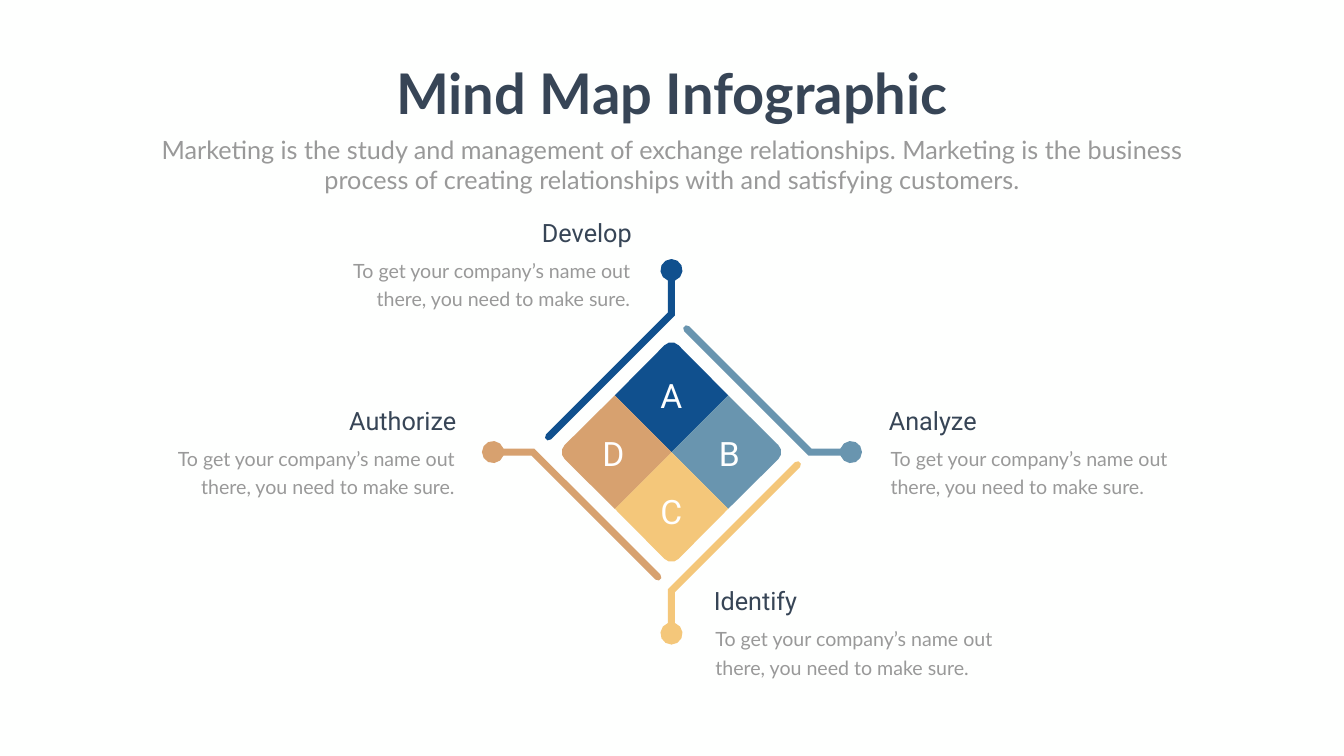
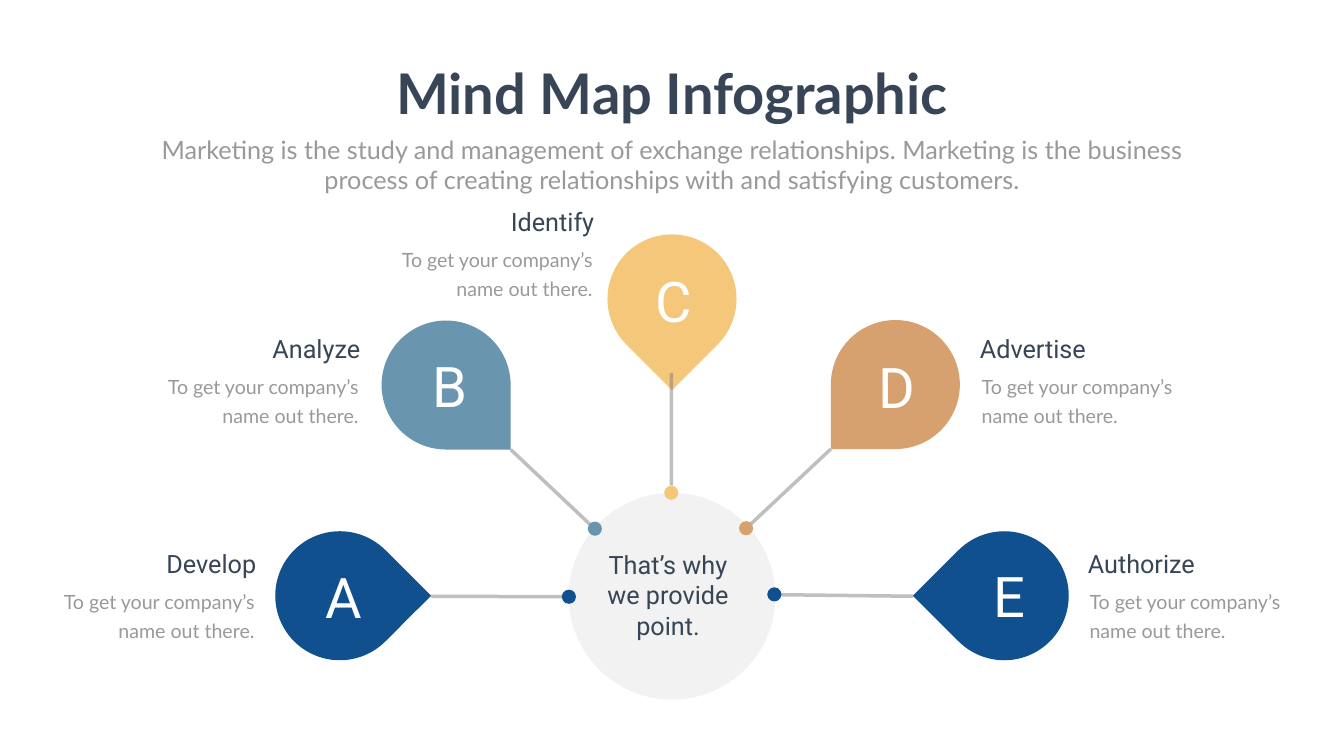
from dataclasses import dataclass
from math import asin, cos, degrees, radians, sin

from lxml.etree import SubElement
from pptx import Presentation
from pptx.dml.color import RGBColor
from pptx.enum.shapes import MSO_CONNECTOR, MSO_SHAPE
from pptx.enum.text import MSO_AUTO_SIZE, PP_ALIGN
from pptx.oxml.ns import qn
from pptx.slide import Slide
from pptx.util import Pt

Point = tuple[float, float]


@dataclass(frozen=True)
class Theme:
    background: str = "FEFFFE"
    dark: str = "374556"
    muted: str = "999999"
    gray: str = "808080"
    white: str = "FFFFFF"
    navy: str = "10508E"
    steel: str = "6995AF"
    gold: str = "F4C77A"
    copper: str = "D7A16F"
    heading_font: str = "Lato"
    label_font: str = "Roboto"
    title_size: int = 80
    quarter_size: int = 48
    label_size: int = 36
    body_size: int = 28


THEME = Theme()
SLIDE_WIDTH, SLIDE_HEIGHT = 1919.52, 1080
CENTER: Point = (959.04, 645.84)
HEADING_WIDTHS = {"Develop": 146, "Analyze": 143, "Identify": 137,
                  "Advertise": 169, "Authorize": 172}
STROKE_RADIUS, NODE_RADIUS = 5, 15.8
PETAL_SIZE, DOT_SIZE = 184.3, 20.2


@dataclass(frozen=True)
class TextStyle:
    font: str
    size: float
    color: str
    align: PP_ALIGN = PP_ALIGN.CENTER
    bold: bool = False
    line_spacing: float | None = None


@dataclass(frozen=True)
class Callout:
    """A heading over a body; edge is the side that the text is aligned to."""
    heading: str
    edge: float
    top: float
    align: PP_ALIGN


@dataclass(frozen=True)
class Branch:
    """One arm of the diamond, measured outward from its center."""
    letter: str
    color: str
    node: float
    bend: float
    run: float


@dataclass(frozen=True)
class Petal:
    letter: str
    color: str
    corner: Point
    rotation: float
    letter_corner: Point
    line_start: Point
    line_end: Point
    dot_corner: Point


BRANCHES = [
    Branch("A", THEME.navy, 260, 197.3, 175.7),
    Branch("B", THEME.steel, 256.3, 197.8, 176.2),
    Branch("C", THEME.gold, 259.2, 198, 180),
    Branch("D", THEME.copper, 254.9, 198, 178.6),
]
BRANCH_CALLOUTS = [
    Callout("Develop", 909.4, 306.4, PP_ALIGN.RIGHT),
    Callout("Authorize", 658.8, 575, PP_ALIGN.RIGHT),
    Callout("Analyze", 1262.4, 575, PP_ALIGN.LEFT),
    Callout("Identify", 1012.3, 833, PP_ALIGN.LEFT),
]
PETALS = [
    Petal("A", THEME.navy, (393.1, 758.9), 45, (416.2, 799.9),
          (615.6, 851.8), (805, 852.5), (802.4, 842.4)),
    Petal("B", THEME.steel, (545, 457.9), 90, (569.2, 499),
          (729.4, 642.2), (843.8, 750.2), (839.5, 745.2)),
    Petal("C", THEME.gold, (867.6, 334.8), 135, (887.8, 376.6),
          (959, 532.8), (959, 693.4), (948.6, 693.8)),
    Petal("D", THEME.copper, (1186.6, 457.2), 180, (1206.9, 500.4),
          (1186.6, 641.5), (1071.4, 749.5), (1055.5, 744.5)),
    Petal("E", THEME.navy, (1342.1, 758.9), 225, (1368, 798.5),
          (1303.9, 851.8), (1113.1, 849.6), (1095.8, 839)),
]
PETAL_CALLOUTS = [
    Callout("Develop", 373, 779.8, PP_ALIGN.RIGHT),
    Callout("Analyze", 521.6, 472.3, PP_ALIGN.RIGHT),
    Callout("Identify", 855.8, 291.6, PP_ALIGN.RIGHT),
    Callout("Advertise", 1392.5, 472.3, PP_ALIGN.LEFT),
    Callout("Authorize", 1546.6, 779.8, PP_ALIGN.LEFT),
]


def add_text(slide: Slide, text: str, left: float, top: float, width: float,
             height: float, style: TextStyle, wrap: bool = True) -> None:
    box = slide.shapes.add_textbox(Pt(left), Pt(top), Pt(width), Pt(height))
    frame = box.text_frame
    frame.word_wrap = wrap
    frame.auto_size = MSO_AUTO_SIZE.SHAPE_TO_FIT_TEXT
    paragraph = frame.paragraphs[0]
    paragraph.text = text
    paragraph.alignment = style.align
    if style.line_spacing:
        paragraph.line_spacing = Pt(style.line_spacing)
    paragraph.font.name = style.font
    paragraph.font.size = Pt(style.size)
    paragraph.font.bold = style.bold
    paragraph.font.color.rgb = RGBColor.from_string(style.color)


def paint(shape, color: str) -> None:
    """Fill a shape flat, with no outline and no shadow."""
    shape.shadow.inherit = False
    shape.fill.solid()
    shape.fill.fore_color.rgb = RGBColor.from_string(color)
    shape.line.fill.background()


def set_opacity(shape, percent: int) -> None:
    for color in list(shape.element.iter(qn("a:srgbClr"))):
        SubElement(color, qn("a:alpha"), val=str(percent * 1000))


def add_preset(slide: Slide, kind: MSO_SHAPE, corner: Point, size: float,
               color: str, rotation: float = 0):
    shape = slide.shapes.add_shape(kind, Pt(corner[0]), Pt(corner[1]), Pt(size), Pt(size))
    shape.rotation = rotation
    paint(shape, color)
    return shape


def add_line(slide: Slide, start: Point, end: Point) -> None:
    line = slide.shapes.add_connector(
        MSO_CONNECTOR.STRAIGHT, *(Pt(value) for value in (*start, *end)))
    line.line.width = Pt(5)
    line.line.color.rgb = RGBColor.from_string(THEME.gray)
    set_opacity(line, 50)
    SubElement(line.element.spPr, qn("a:effectLst"))


def turn(point: Point, quarters: int) -> Point:
    """Rotate a point clockwise about the origin by quarter turns."""
    x, y = point
    for _ in range(quarters):
        x, y = -y, x
    return x, y


def arc(center: Point, radius: float, start: float, end: float, steps: int) -> list[Point]:
    angles = [radians(start + (end - start) * step / steps) for step in range(steps + 1)]
    return [(center[0] + radius * cos(angle), center[1] + radius * sin(angle))
            for angle in angles]


def add_outline(slide: Slide, outline: list[Point], quarters: int, color: str) -> None:
    """Draw an outline given for the upward direction, turned about the center."""
    turned = [turn(point, quarters) for point in outline]
    points = [(Pt(CENTER[0] + x), Pt(CENTER[1] + y)) for x, y in turned]
    builder = slide.shapes.build_freeform(*points[0])
    builder.add_line_segments(points[1:], close=True)
    paint(builder.convert_to_shape(), color)


def quarter_outline() -> list[Point]:
    """The top quarter of the diamond, with a rounded tip."""
    return [(0, 0), (-81, -81), (-10, -152.6), (-4, -156.2), (4, -156.2),
            (10, -152.6), (81, -81)]


def branch_outline(branch: Branch) -> list[Point]:
    """A disc, a stem and a round-ended diagonal as one outline, pointing up."""
    opening = degrees(asin(STROKE_RADIUS / NODE_RADIUS))
    miter = STROKE_RADIUS * (2 ** 0.5 - 1)
    disc = arc((0, -branch.node), NODE_RADIUS, 90 + opening, 450 - opening, 10)
    cap = arc((-branch.run, branch.run - branch.bend), STROKE_RADIUS, 45, 225, 3)
    return [*disc, (STROKE_RADIUS, miter - branch.bend), *cap,
            (-STROKE_RADIUS, -miter - branch.bend)]


def add_callouts(slide: Slide, callouts: list[Callout], body: str, body_width: float) -> None:
    for callout in callouts:
        heading_width = HEADING_WIDTHS[callout.heading]
        heading_left, body_left = callout.edge, callout.edge + 2.4
        if callout.align == PP_ALIGN.RIGHT:
            heading_left = callout.edge - heading_width
            body_left = callout.edge - 2.4 - body_width
        add_text(slide, callout.heading, heading_left, callout.top, heading_width, 51,
                 TextStyle(THEME.label_font, THEME.label_size, THEME.dark, callout.align),
                 wrap=False)
        add_text(slide, body, body_left, callout.top + 52.5, body_width, 85.7,
                 TextStyle(THEME.heading_font, THEME.body_size, THEME.muted,
                           callout.align, line_spacing=40.8))


def add_base_slide(presentation) -> Slide:
    slide = presentation.slides.add_slide(presentation.slide_layouts[6])
    slide.background.fill.solid()
    slide.background.fill.fore_color.rgb = RGBColor.from_string(THEME.background)
    return slide


def add_title(slide: Slide) -> None:
    add_text(slide, "Mind Map Infographic", 553.7, 80.6, 812.2, 104.4,
             TextStyle(THEME.heading_font, THEME.title_size, THEME.dark, bold=True), wrap=False)
    add_text(slide, "Marketing is the study and management of exchange relationships. "
             "Marketing is the business process of creating relationships with and "
             "satisfying customers.", 210.2, 187.9, 1499, 94.3,
             TextStyle(THEME.heading_font, THEME.label_size, THEME.muted))


def build_diamond_slide(presentation) -> None:
    slide = add_base_slide(presentation)
    letter_style = TextStyle(THEME.label_font, THEME.quarter_size, THEME.white)
    for quarters, branch in enumerate(BRANCHES):
        add_outline(slide, quarter_outline(), quarters, branch.color)
    for quarters, branch in enumerate(BRANCHES):
        add_outline(slide, branch_outline(branch), quarters, branch.color)
    add_callouts(slide, BRANCH_CALLOUTS,
                 "To get your company’s name out there, you need to make sure.", 472.3)
    for quarters, branch in enumerate(BRANCHES):
        x, y = turn((0, -82.8), quarters)
        add_text(slide, branch.letter, CENTER[0] + x - 32.3, CENTER[1] + y - 31.6,
                 64, 65.5, letter_style)
    add_title(slide)


def build_petal_slide(presentation) -> None:
    slide = add_base_slide(presentation)
    hub = add_preset(slide, MSO_SHAPE.OVAL, (812.2, 704.2), 295.2, THEME.gray)
    set_opacity(hub, 10)
    letter_style = TextStyle(THEME.label_font, THEME.title_size, THEME.white)
    for petal in PETALS:
        add_preset(slide, MSO_SHAPE.TEAR, petal.corner, PETAL_SIZE, petal.color, petal.rotation)
        add_line(slide, petal.line_start, petal.line_end)
        add_preset(slide, MSO_SHAPE.OVAL, petal.dot_corner, DOT_SIZE, petal.color)
        add_text(slide, petal.letter, *petal.letter_corner, 148.3, 104.4, letter_style)
    add_text(slide, "That’s why we provide point.", 839.5, 781.9, 229, 137.5,
             TextStyle(THEME.label_font, THEME.label_size, THEME.dark, line_spacing=43))
    add_callouts(slide, PETAL_CALLOUTS, "To get your company’s name out there.", 292.3)
    add_title(slide)


def main() -> None:
    presentation = Presentation()
    presentation.slide_width = Pt(SLIDE_WIDTH)
    presentation.slide_height = Pt(SLIDE_HEIGHT)
    build_diamond_slide(presentation)
    build_petal_slide(presentation)
    presentation.save("out.pptx")


if __name__ == "__main__":
    main()
